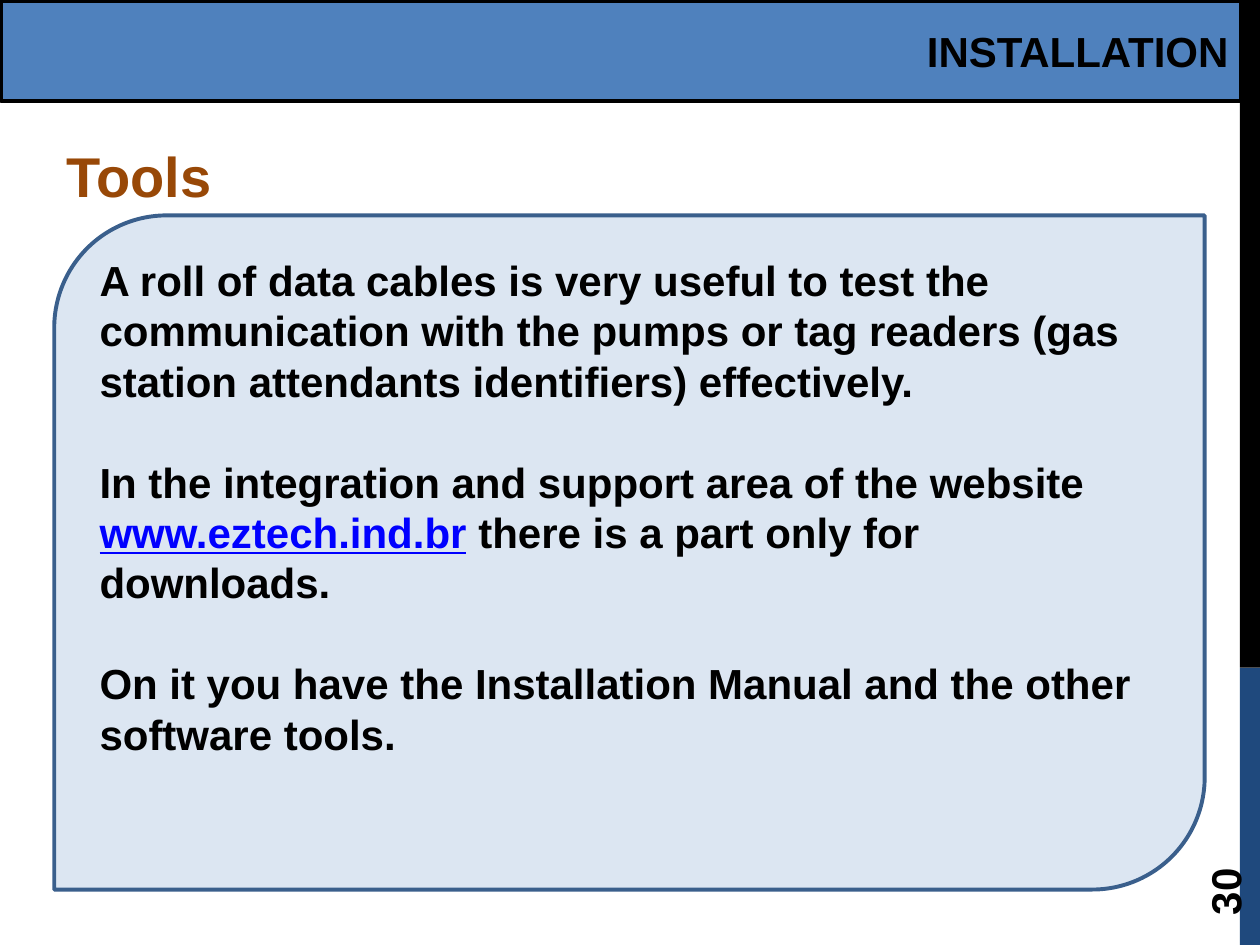
from pptx import Presentation
from pptx.dml.color import RGBColor
from pptx.enum.shapes import MSO_SHAPE as Shape
from pptx.enum.text import MSO_ANCHOR as Anchor, MSO_AUTO_SIZE as AutoSize, PP_ALIGN as Align
from pptx.util import Pt

COLORS = {
    "black": "000000", "navy": "1F497D", "blue": "4F81BD", "pale": "DCE6F2",
    "outline": "3A5F8C", "brown": "984807", "link": "0000FF",
}


def add_panel(kind, left, top, width, height, fill, line=None):
    panel = page.shapes.add_shape(kind, Pt(left), Pt(top), Pt(width), Pt(height))
    panel.shadow.inherit = False
    panel.fill.solid()
    panel.fill.fore_color.rgb = RGBColor.from_string(COLORS[fill])
    if line:
        panel.line.color.rgb = RGBColor.from_string(COLORS[line])
        panel.line.width = Pt(2.25)
    else:
        panel.line.fill.background()
    return panel


def add_span(para, text, size=24, color="black"):
    span = para.add_run()
    span.text = text
    span.font.name = "Arial"
    span.font.size = Pt(size)
    span.font.bold = True
    span.font.color.rgb = RGBColor.from_string(COLORS[color])
    return span


deck = Presentation()
deck.slide_width, deck.slide_height = Pt(720), Pt(540)
page = deck.slides.add_slide(deck.slide_layouts[5])

add_panel(Shape.RECTANGLE, 708.5, 381.6, 11.5, 158.4, "navy")
add_panel(Shape.RECTANGLE, 708.5, 0, 11.5, 381.6, "black")

number_box = page.shapes.add_textbox(Pt(648), Pt(463.7), Pt(103.7), Pt(28.8))
number_box.rotation = 270
number_box.text_frame.word_wrap = True
number_box.text_frame.vertical_anchor = Anchor.MIDDLE
add_span(number_box.text_frame.paragraphs[0], "30")

header = add_panel(Shape.RECTANGLE, 0.7, 0.7, 708.5, 56.9, "blue", "black")
header.text_frame.vertical_anchor = Anchor.MIDDLE
header_para = header.text_frame.paragraphs[0]
header_para.alignment = Align.RIGHT
add_span(header_para, "INSTALLATION")

title = page.shapes.title
title.left, title.top, title.width, title.height = Pt(13), Pt(77), Pt(687), Pt(46)
title.text_frame.auto_size = AutoSize.NONE
title.text_frame.vertical_anchor = Anchor.TOP
title.text_frame.margin_left = Pt(24.8)
title_para = title.text_frame.paragraphs[0]
title_para.alignment = Align.LEFT
add_span(title_para, "Tools", 32, "brown")

paragraphs = [
    [("A roll of data cables is very useful to test the communication with the pumps "
      "or tag readers (gas station attendants identifiers) effectively.", "black")],
    [("In the integration and support area of the website ", "black"),
     ("www.eztech.ind.br", "link"),
     (" there is a part only for downloads.", "black")],
    [("On it you have the Installation Manual and the other software tools.", "black")],
]
card = add_panel(Shape.ROUND_2_DIAG_RECTANGLE, 31, 123.1, 657.4, 385.2, "pale", "outline")
frame = card.text_frame
frame.word_wrap = True
frame.vertical_anchor = Anchor.TOP
for index, parts in enumerate(paragraphs):
    para = frame.add_paragraph() if index else frame.paragraphs[0]
    para.alignment = Align.LEFT
    para.line_spacing = Pt(28.8)
    if index:
        para.space_before = Pt(28.8)
    for text, color in parts:
        span = add_span(para, text, color=color)
        if color == "link":
            span.font.underline = True

deck.save("out.pptx")
